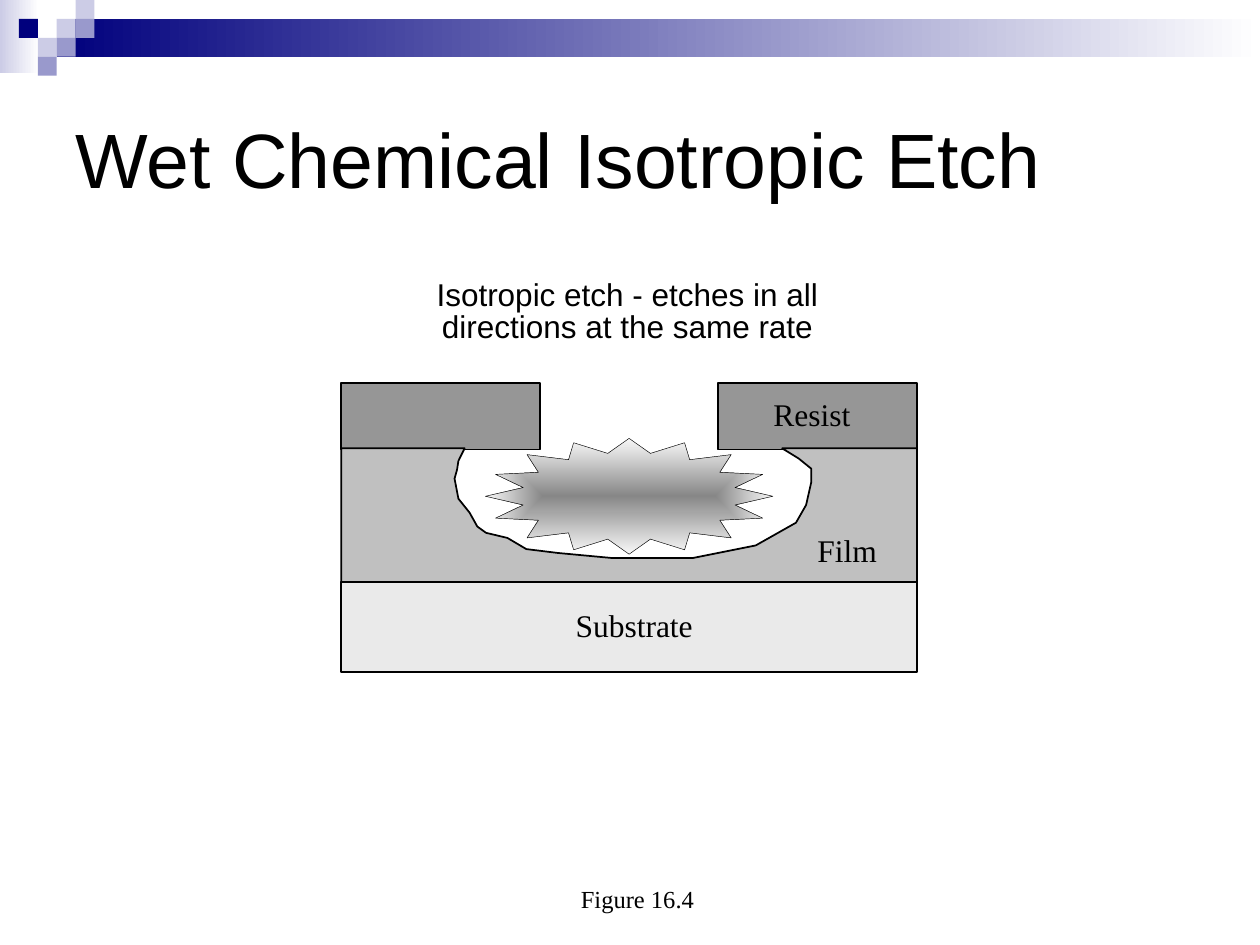
from lxml import etree
from pptx import Presentation
from pptx.dml.color import RGBColor
from pptx.enum import shapes, text
from pptx.oxml.ns import qn
from pptx.util import Pt

COLORS = {
    "black": "000000", "white": "FFFFFF",
    "navy": "00007D", "violet": "9999CC", "lilac": "CCCCE6",
    "resist": "969696", "film": "C0C0C0", "substrate": "EAEAEA",
    "burst_core": "878787", "burst_edge": "F8F8F8",
}
SANS, SERIF = "Arial", "Times New Roman"

# Film cavity wall, from the left resist edge round to the right one
CAVITY = [
    (70.6, 37.4), (69.8, 38.9), (67, 44.6), (66.2, 49.7), (64.8, 54.7),
    (67, 66.2), (73.4, 74.2), (77.8, 82.1), (82.8, 85.7), (95, 88.6),
    (105.8, 95), (123.8, 97.2), (154.8, 100.1), (200.9, 100.1),
    (236.9, 92.9), (259.9, 79.9), (265.7, 69.8), (268.6, 56.9),
    (268.6, 49), (261.4, 43.2), (252, 37.4),
]
# One quarter of the burst, relative to its centre
BURST_QUARTER = [
    (-82.1, 0), (-60.5, 5), (-76.3, 12.5), (-51.8, 13.7), (-58.3, 23.8),
    (-34.6, 20.9), (-31.7, 30.6), (-12.2, 24.5), (0, 33.1),
]


def rgb(name):
    return RGBColor.from_string(COLORS[name])


def style(sp, fill, line=None):
    """Fill with one colour, or with a gradient for a pair of colours."""
    sp.shadow.inherit = False
    if isinstance(fill, tuple):
        sp.fill.gradient()
        sp.fill.gradient_angle = 0
        for stop, name in zip(sp.fill.gradient_stops, fill):
            stop.color.rgb = rgb(name)
    else:
        sp.fill.solid()
        sp.fill.fore_color.rgb = rgb(fill)
    if line is None:
        sp.line.fill.background()
    else:
        sp.line.color.rgb = rgb("black")
        sp.line.width = Pt(line)


def add_rect(s, x, y, w, h, fill, line=None):
    sp = s.shapes.add_shape(shapes.MSO_SHAPE.RECTANGLE, Pt(x), Pt(y), Pt(w), Pt(h))
    style(sp, fill, line)


def add_outline(s, x, y, points, fill, line):
    start, *rest = [(Pt(x + dx), Pt(y + dy)) for dx, dy in points]
    builder = s.shapes.build_freeform(*start)
    builder.add_line_segments(rest, close=True)
    sp = builder.convert_to_shape()
    style(sp, fill, line)
    return sp


def add_text(s, x, y, w, h, words, size, font, align="CENTER", spacing=None,
             anchor="TOP", wrap=False):
    tf = s.shapes.add_textbox(Pt(x), Pt(y), Pt(w), Pt(h)).text_frame
    tf.word_wrap = wrap
    tf.vertical_anchor = text.MSO_ANCHOR[anchor]
    p = tf.paragraphs[0]
    p.text = words
    p.alignment = text.PP_ALIGN[align]
    if spacing:
        p.line_spacing = spacing
    p.font.size = Pt(size)
    p.font.name = font
    p.font.color.rgb = rgb("black")


def centre_fill(sp):
    """Turn a linear gradient into one that spreads from the middle."""
    lin = next(sp._element.spPr.iter(qn("a:lin")))
    spread = etree.Element(qn("a:path"), {"path": "rect"})
    etree.SubElement(spread, qn("a:fillToRect"), {side: "50000" for side in "ltrb"})
    lin.getparent().replace(lin, spread)


def header_band(s, x, y, w):
    cell = 10.8
    add_rect(s, x, y, 22.3, 42, ("lilac", "white"))
    add_rect(s, x + 3 * cell, y + cell, w - 3 * cell, 2 * cell, ("navy", "white"))
    squares = [
        (3, 1, "lilac"), (4, 0, "lilac"), (4, 1, "violet"), (2, 2, "lilac"),
        (1, 1, "navy"), (3, 2, "violet"), (2, 3, "violet"),
    ]
    for col, row, color in squares:
        add_rect(s, x + col * cell, y + row * cell, cell, cell, color)


def etch_diagram(s, x, y, w):
    resist_w, resist_h, film_bottom, substrate_h = 113.8, 38, 113.8, 51.6

    # Layers
    add_rect(s, x, y + film_bottom, w, substrate_h, "substrate", 1)
    for left in (x, x + w - resist_w):
        add_rect(s, left, y, resist_w, resist_h, "resist", 1)
    film_top = CAVITY[0][1]
    film = [(w, film_bottom), (0, film_bottom), (0, film_top), *CAVITY, (w, film_top)]
    add_outline(s, x, y, film, "film", 1)

    # Layer names
    for dx, dy, label_w, name in [(126.7, 127.4, 81.4, "Substrate"),
                                  (265, 84.2, 48.2, "Film"),
                                  (239.8, 6.5, 58.3, "Resist")]:
        add_text(s, x + dx, y + dy, label_w, 25.2, name, 18, SERIF, spacing=0.85)

    # Etchant burst: the quarter mirrored sideways, then upwards
    lower = BURST_QUARTER + [(-dx, dy) for dx, dy in BURST_QUARTER[-2::-1]]
    points = lower + [(dx, -dy) for dx, dy in lower[-2:0:-1]]
    burst = add_outline(s, x + w / 2, y + 64.8, points, ("burst_core", "burst_edge"), 0.25)
    centre_fill(burst)


def main():
    prs = Presentation()
    prs.slide_width, prs.slide_height = Pt(720), Pt(540)
    s = prs.slides.add_slide(prs.slide_layouts[6])

    header_band(s, 0, 0, 720)
    # Title
    add_text(s, 36, 36, 648, 108, "Wet Chemical Isotropic Etch", 44, SANS,
             align="LEFT", anchor="MIDDLE", wrap=True)
    # Explanation above the diagram
    add_text(s, 234.7, 157, 247.7, 56.2,
             "Isotropic etch - etches in all directions at the same rate",
             18, SANS, spacing=0.85, wrap=True)
    etch_diagram(s, 195, 218.8, 329)
    # Figure number
    add_text(s, 324.7, 501.8, 79.2, 24, "Figure 16.4", 14, SERIF)

    prs.save("out.pptx")


if __name__ == "__main__":
    main()
